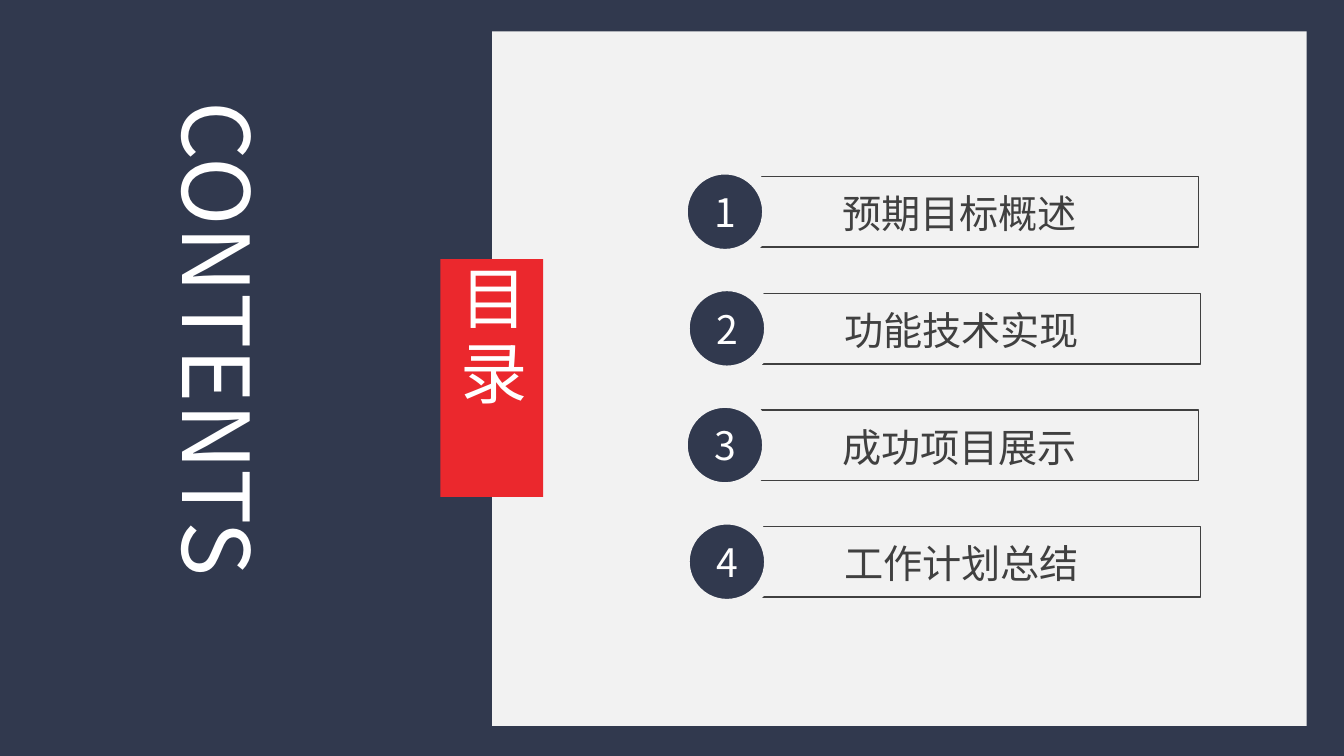
import pptx
import pptx.util
import pptx.dml.color
import pptx.enum.shapes
import pptx.enum.text
import pptx.oxml.ns
import lxml.etree

Cm = pptx.util.Cm
Pt = pptx.util.Pt
RGBColor = pptx.dml.color.RGBColor
Kind = pptx.enum.shapes.MSO_SHAPE
Align = pptx.enum.text.PP_ALIGN
Anchor = pptx.enum.text.MSO_ANCHOR
Fit = pptx.enum.text.MSO_AUTO_SIZE

NAVY = RGBColor(0x31, 0x39, 0x4E)
PALE = RGBColor(0xF2, 0xF2, 0xF2)
RED = RGBColor(0xEB, 0x28, 0x2D)
GREY = RGBColor(0x40, 0x40, 0x40)
WHITE = RGBColor(0xFF, 0xFF, 0xFF)
FONT = "Noto Sans CJK SC"


def draw(kind, box, fill=None, line=None, width=1):
    shape = slide.shapes.add_shape(kind, *map(Cm, box))
    shape.shadow.inherit = False
    if fill is None:
        shape.fill.background()
    else:
        shape.fill.solid()
        shape.fill.fore_color.rgb = fill
    if line is None:
        shape.line.fill.background()
    else:
        shape.line.color.rgb = line
        shape.line.width = Pt(width)
    return shape


def write(shape, text, size, color, align=Align.CENTER, turn=False):
    frame = shape.text_frame
    frame.text = text
    para = frame.paragraphs[0]
    para.alignment = align
    run = para.runs[0]
    run.font.size = Pt(size)
    run.font.name = FONT
    run.font.color.rgb = color
    east = lxml.etree.SubElement(run.font._element, pptx.oxml.ns.qn("a:ea"))
    east.set("typeface", FONT)
    if turn:
        frame.vertical_anchor = Anchor.MIDDLE
        frame._txBody.bodyPr.set("vert", "eaVert")
    return run


deck = pptx.Presentation()
deck.slide_width = Cm(33.88)
deck.slide_height = Cm(19.05)
slide = deck.slides.add_slide(deck.slide_layouts[5])
slide.background.fill.solid()
slide.background.fill.fore_color.rgb = NAVY

draw(Kind.RECTANGLE, (0.94, 0.79, 32, 17.5), PALE)
draw(Kind.RECTANGLE, (0.89, 0.74, 11.51, 17.6), NAVY)

topics = ["预期目标概述", "功能技术实现", "成功项目展示", "工作计划总结"]
for i, topic in enumerate(topics):
    shift = 0.05 * (i % 2)
    top = 4.45 + 2.94 * i
    draw(Kind.RECTANGLE, (18.36 + shift, top, 11.86, 1.78), line=GREY)
    disc = draw(Kind.OVAL, (17.17 + shift, top - 0.22, 2.21, 2.21), NAVY, PALE, 9.5)
    write(disc, str(i + 1), 28, WHITE)
    label = slide.shapes.add_textbox(
        Cm(20.98 + shift), Cm(top + 0.2), Cm(6.5), Cm(1.45))
    label.text_frame.word_wrap = False
    write(label, topic, 28, GREY, Align.LEFT)

title = slide.shapes.title
title.left, title.top = Cm(11.1), Cm(6.53)
title.width, title.height = Cm(2.59), Cm(5.99)
title.fill.solid()
title.fill.fore_color.rgb = RED
title.text_frame.auto_size = Fit.NONE
run = write(title, "目录", 48, WHITE, turn=True)
run.font._element.set("spc", "600")
slide.shapes._spTree.append(title._element)

banner = slide.shapes.add_textbox(Cm(4.06), Cm(2.57), Cm(2.92), Cm(13.89))
frame = banner.text_frame
frame.word_wrap = True
frame.margin_left = frame.margin_right = 0
frame.margin_top = frame.margin_bottom = 0
write(banner, "CONTENTS", 66, WHITE, turn=True)

deck.save("out.pptx")
